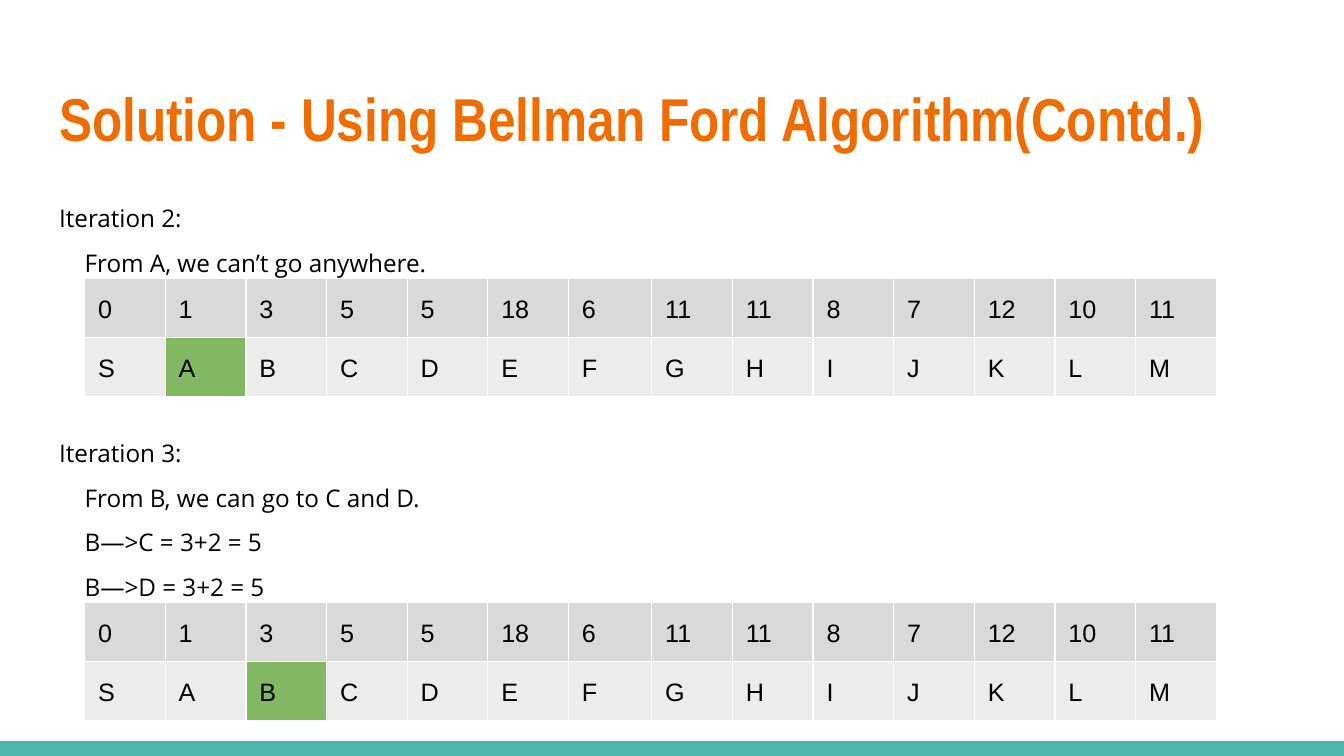
from lxml import etree
from pptx import Presentation
from pptx.dml.color import RGBColor
from pptx.enum.shapes import MSO_SHAPE
from pptx.enum.text import MSO_ANCHOR, MSO_AUTO_SIZE, PP_ALIGN
from pptx.oxml.ns import qn
from pptx.util import Inches, Pt

RECTANGLE = MSO_SHAPE.RECTANGLE
TOP, MIDDLE = MSO_ANCHOR.TOP, MSO_ANCHOR.MIDDLE
LEFT = PP_ALIGN.LEFT
NO_AUTOFIT = MSO_AUTO_SIZE.NONE

# Content
TITLE = "Solution - Using Bellman Ford Algorithm(Contd.)"
STEPS = [  # text, indented, points of space before
    ("Iteration 2:", False, 0),
    ("From A, we can’t go anywhere.", True, 6),
    ("Iteration 3:", False, 84),
    ("From B, we can go to C and D.", True, 6),
    ("B—>C = 3+2 = 5", True, 6),
    ("B—>D = 3+2 = 5", True, 6),
]
DISTANCES = [0, 1, 3, 5, 5, 18, 6, 11, 11, 8, 7, 12, 10, 11]
NODES = "SABCDEFGHIJKLM"
TABLES = [(2.07, "A"), (4.48, "B")]  # top, node being relaxed

COLORS = {
    "title": "EF6C00", "text": "000000", "bar": "4DB6AC", "border": "FFFFFF",
    "distance": "D9D9D9", "node": "ECECEC", "current": "83B862",
}

# Layout in inches, on a 16:9 page
WIDTH = 10
HEIGHT = WIDTH * 9 / 16
BAR_HEIGHT = 0.11
MARGIN, INSET, INDENT = 0.34, 0.1, 0.19
TABLE_LEFT, COLUMN_WIDTH, ROW_HEIGHT = 0.63, 0.6, 0.43
WIDE_COLUMN, WIDE_WIDTH = NODES.index("F"), 0.62
LINE_SPACING = 1.15


def color(name):
    return RGBColor.from_string(COLORS[name])


def style(para, font_name, size, color_name, bold=False):
    for span in para.runs:
        span.font.name = font_name
        span.font.size = Pt(size)
        span.font.bold = bold
        span.font.color.rgb = color(color_name)


def place(box, top, height, anchor):
    box.left, box.top = Inches(MARGIN), Inches(top)
    box.width, box.height = Inches(WIDTH - 2 * MARGIN), Inches(height)
    frame = box.text_frame
    frame.word_wrap = True
    frame.auto_size = NO_AUTOFIT
    frame.vertical_anchor = anchor
    frame.margin_left = frame.margin_right = Inches(INSET)
    frame.margin_top = frame.margin_bottom = Inches(INSET)
    return frame


def add_borders(cell):
    properties = cell._tc.get_or_add_tcPr()
    for position, side in enumerate(("lnL", "lnR", "lnT", "lnB")):
        line = etree.Element(qn(f"a:{side}"), w=str(Pt(0.75)))
        fill = etree.SubElement(line, qn("a:solidFill"))
        etree.SubElement(fill, qn("a:srgbClr"), val=COLORS["border"])
        properties.insert(position, line)


def fill_cell(cell, text, fill_name):
    cell.fill.solid()
    cell.fill.fore_color.rgb = color(fill_name)
    cell.margin_left = cell.margin_right = Inches(INSET)
    cell.margin_top = cell.margin_bottom = Inches(INSET)
    para = cell.text_frame.paragraphs[0]
    para.text = str(text)
    para.line_spacing = LINE_SPACING
    style(para, "Arial", 13.5, "text")
    add_borders(cell)


def add_distance_table(page, top, current):
    widths = [COLUMN_WIDTH] * len(NODES)
    widths[WIDE_COLUMN] = WIDE_WIDTH
    table = page.shapes.add_table(
        2, len(NODES), Inches(TABLE_LEFT), Inches(top),
        Inches(sum(widths)), Inches(2 * ROW_HEIGHT)).table
    table.first_row = table.horz_banding = False
    for row in table.rows:
        row.height = Inches(ROW_HEIGHT)
    for index, (distance, node) in enumerate(zip(DISTANCES, NODES)):
        table.columns[index].width = Inches(widths[index])
        fill_cell(table.cell(0, index), distance, "distance")
        fill_cell(table.cell(1, index), node, "current" if node == current else "node")


def main():
    deck = Presentation()
    deck.slide_width, deck.slide_height = Inches(WIDTH), Inches(HEIGHT)
    page = deck.slides.add_slide(deck.slide_layouts[1])

    # Bottom bar
    bar = page.shapes.add_shape(RECTANGLE, 0, Inches(HEIGHT - BAR_HEIGHT),
                                Inches(WIDTH), Inches(BAR_HEIGHT))
    bar.shadow.inherit = False
    bar.fill.solid()
    bar.fill.fore_color.rgb = color("bar")
    bar.line.fill.background()

    # Title
    heading = place(page.shapes.title, 0.49, 0.77, MIDDLE)
    heading.text = TITLE
    heading.paragraphs[0].alignment = LEFT
    style(heading.paragraphs[0], "Arial Narrow", 32.4, "title", bold=True)

    # Steps of each iteration
    body = place(page.placeholders[1], 1.38, 3.61, TOP)
    body.text = "\n".join(text for text, _, _ in STEPS)
    for para, (_, indented, space) in zip(body.paragraphs, STEPS):
        properties = para._p.get_or_add_pPr()
        properties.set("marL", str(Inches(INDENT if indented else 0)))
        properties.set("indent", "0")
        etree.SubElement(properties, qn("a:buNone"))
        para.line_spacing = LINE_SPACING
        para.space_before = Pt(space)
        style(para, "Open Sans", 13, "text")

    # Distance tables
    for top, current in TABLES:
        add_distance_table(page, top, current)

    deck.save("out.pptx")


if __name__ == "__main__":
    main()
